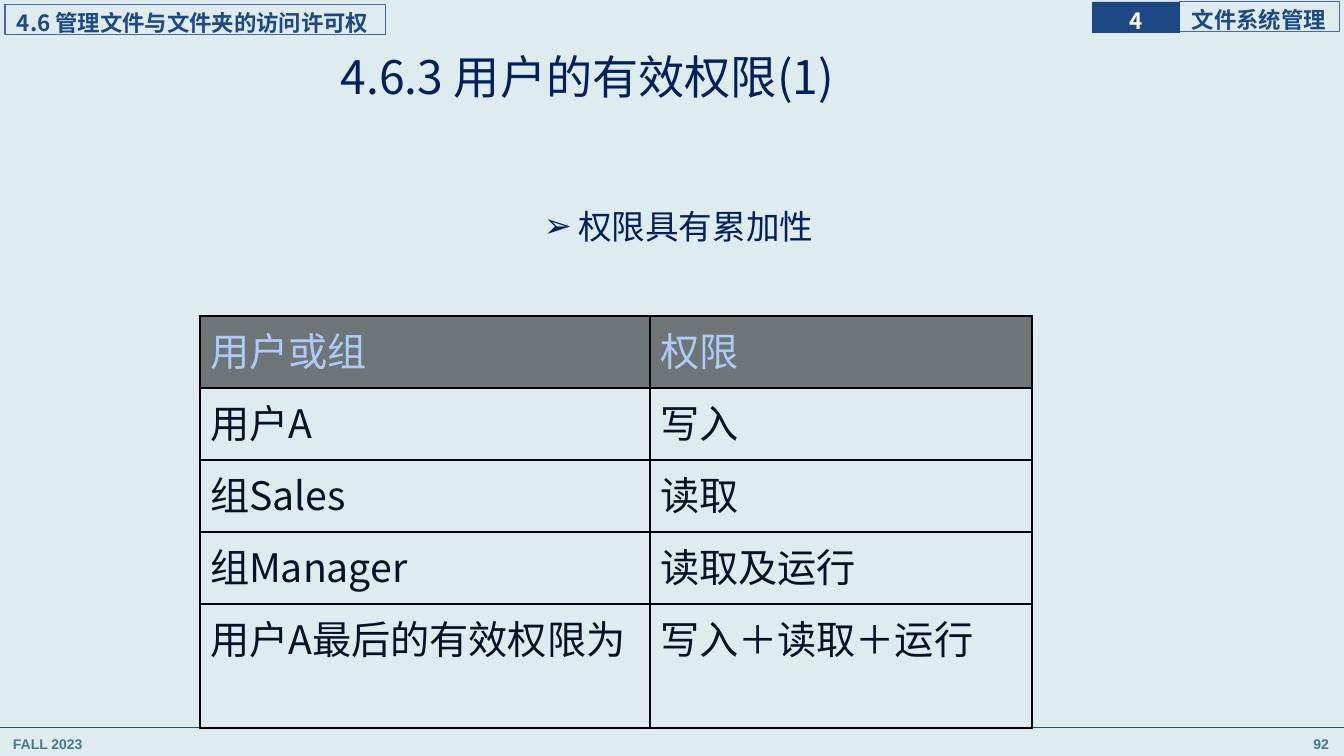
"""Build the slide on effective user permissions."""
from pptx import Presentation
from pptx.dml.color import RGBColor
from pptx.enum.shapes import MSO_CONNECTOR, MSO_SHAPE
from pptx.enum.text import MSO_ANCHOR, MSO_AUTO_SIZE, PP_ALIGN
from pptx.oxml.ns import qn
from pptx.oxml.xmlchemy import OxmlElement
from pptx.util import Pt

LEFT, CENTER, RIGHT = PP_ALIGN.LEFT, PP_ALIGN.CENTER, PP_ALIGN.RIGHT
TOP, MIDDLE = MSO_ANCHOR.TOP, MSO_ANCHOR.MIDDLE
NO_AUTOFIT = MSO_AUTO_SIZE.NONE
RECTANGLE, STRAIGHT = MSO_SHAPE.RECTANGLE, MSO_CONNECTOR.STRAIGHT

BACKGROUND = RGBColor(0xDE, 0xEC, 0xEF)
NAVY = RGBColor(0x00, 0x20, 0x60)
BLUE = RGBColor(0x1C, 0x48, 0x85)
OUTLINE = RGBColor(0x4A, 0x66, 0xAC)
RULE = RGBColor(0x23, 0x4F, 0x77)
TEAL = RGBColor(0x41, 0x7B, 0x85)
HEADER_TEXT = RGBColor(0xAC, 0xCB, 0xF9)
CELL_TEXT = RGBColor(0x03, 0x12, 0x27)
BLACK = RGBColor(0, 0, 0)
WHITE = RGBColor(0xFF, 0xFF, 0xFF)
CHINESE_FONT, LATIN_FONT = "Noto Sans CJK SC", "Arial"

PX = 914400 / 100.8
SLIDE_SIZE = (1344, 756)
TITLE = ("4.6.3 用户的有效权限(1)", (8, 47, 1159, 65))
BULLET = ("权限具有累加性", (206, 206, 930, 465))
BULLET_INDENT, BULLET_HANG = 364, 34
FOOTERS = [("FALL 2023", (3, 727, 280, 31), LEFT), ("92", (1059, 727, 280, 31), RIGHT)]
LABELS = [
    ("文件系统管理", (1180, 2, 160, 30), None, BLUE, LEFT, 12),
    ("4", (1092, 2, 88, 31), BLUE, WHITE, CENTER, 0),
    ("4.6 管理文件与文件夹的访问许可权", (5, 5, 381, 30), None, BLUE, LEFT, 12),
]
FOOTER_RULE_Y = 727
PERMISSIONS = [
    ("用户或组", "权限"),
    ("用户A", "写入"),
    ("组Sales", "读取"),
    ("组Manager", "读取及运行"),
    ("用户A最后的有效权限为", "写入＋读取＋运行"),
]
TABLE_LEFT, TABLE_TOP = 200, 316
COLUMN_WIDTHS = (450, 382)
ROW_HEIGHTS = (72, 72, 72, 72, 124)
OUTER_BORDER, INNER_BORDER = 2.25, 1


def emu(length):
    return round(length * PX)


def box(bounds):
    return [emu(length) for length in bounds]


def add_element(parent, tag, **attributes):
    element = OxmlElement(tag)
    for name, value in attributes.items():
        element.set(name, str(value))
    parent.append(element)
    return element


def write(frame, text, size, color, align=LEFT, name=CHINESE_FONT, bold=False, spacing=1.0):
    paragraph = frame.paragraphs[0]
    paragraph.text = text
    paragraph.alignment = align
    paragraph.line_spacing = spacing
    font = paragraph.font
    font.name, font.size, font.bold = name, Pt(size), bold
    font.color.rgb = color
    defaults = paragraph._p.pPr.find(qn("a:defRPr"))
    add_element(defaults, "a:ea", typeface=name)
    return paragraph


def set_frame(frame, anchor, margins):
    frame.word_wrap = True
    frame.auto_size = NO_AUTOFIT
    frame.vertical_anchor = anchor
    frame.margin_left, frame.margin_top, frame.margin_right, frame.margin_bottom = box(margins)


def fill_placeholder(shape, content, size, anchor, align):
    text, bounds = content
    shape.left, shape.top, shape.width, shape.height = box(bounds)
    set_frame(shape.text_frame, anchor, (8, 4, 8, 4))
    return write(shape.text_frame, text, size, NAVY, align, spacing=0.9)


def add_bullet(paragraph):
    properties = paragraph._p.pPr
    properties.set("marL", str(emu(BULLET_INDENT)))
    properties.set("indent", str(-emu(BULLET_HANG)))
    character = OxmlElement("a:buChar")
    character.set("char", "➢")
    properties.find(qn("a:defRPr")).addprevious(character)


def add_label(slide, text, bounds, fill, color, align, inset):
    label = slide.shapes.add_shape(RECTANGLE, *box(bounds))
    label.shadow.inherit = False
    if fill is None:
        label.fill.background()
        label.line.color.rgb = OUTLINE
        label.line.width = Pt(0.75)
    else:
        label.fill.solid()
        label.fill.fore_color.rgb = fill
        label.line.fill.background()
    set_frame(label.text_frame, MIDDLE, (inset, 0, 0, 0))
    write(label.text_frame, text, 16, color, align, bold=True, spacing=1.2)


def add_footer(slide, text, bounds, align):
    footer = slide.shapes.add_textbox(*box(bounds))
    set_frame(footer.text_frame, TOP, (10, 5, 10, 5))
    write(footer.text_frame, text, 10, TEAL, align, LATIN_FONT, True, 1.2)


def add_footer_rule(slide):
    rule = slide.shapes.add_connector(
        STRAIGHT, 0, emu(FOOTER_RULE_Y), emu(SLIDE_SIZE[0]), emu(FOOTER_RULE_Y))
    rule.line.color.rgb = RULE
    rule.line.width = Pt(0.5)
    add_element(rule._element.spPr, "a:effectLst")


def set_borders(cell, outer_sides):
    properties = cell._tc.get_or_add_tcPr()
    for position, (side, is_outer) in enumerate(outer_sides.items()):
        width = Pt(OUTER_BORDER if is_outer else INNER_BORDER)
        border = OxmlElement(f"a:{side}")
        border.set("w", str(width))
        solid = add_element(border, "a:solidFill")
        add_element(solid, "a:srgbClr", val=BLACK)
        properties.insert(position, border)


def add_permission_table(slide):
    row_count, column_count = len(PERMISSIONS), len(COLUMN_WIDTHS)
    bounds = (TABLE_LEFT, TABLE_TOP, sum(COLUMN_WIDTHS), sum(ROW_HEIGHTS))
    table = slide.shapes.add_table(row_count, column_count, *box(bounds)).table
    table.first_row = table.horz_banding = False
    for column, width in zip(table.columns, COLUMN_WIDTHS):
        column.width = emu(width)
    for row_index, values in enumerate(PERMISSIONS):
        table.rows[row_index].height = emu(ROW_HEIGHTS[row_index])
        is_header = row_index == 0
        for column_index, value in enumerate(values):
            cell = table.cell(row_index, column_index)
            write(cell.text_frame, value, 28, HEADER_TEXT if is_header else CELL_TEXT)
            if is_header:
                cell.fill.solid()
                cell.fill.fore_color.rgb = BLACK
                color = cell._tc.tcPr.find(".//" + qn("a:srgbClr"))
                add_element(color, "a:alpha", val=50000)
            else:
                cell.fill.background()
            set_borders(cell, {
                "lnL": column_index == 0,
                "lnR": column_index == column_count - 1,
                "lnT": is_header,
                "lnB": row_index == row_count - 1,
            })


def main():
    presentation = Presentation()
    presentation.slide_width, presentation.slide_height = box(SLIDE_SIZE)
    slide = presentation.slides.add_slide(presentation.slide_layouts[1])
    slide.background.fill.solid()
    slide.background.fill.fore_color.rgb = BACKGROUND
    for footer in FOOTERS:
        add_footer(slide, *footer)
    for label in LABELS:
        add_label(slide, *label)
    add_footer_rule(slide)
    fill_placeholder(slide.shapes.title, TITLE, 33, MIDDLE, CENTER)
    add_bullet(fill_placeholder(slide.placeholders[1], BULLET, 24, TOP, LEFT))
    add_permission_table(slide)
    presentation.save("out.pptx")


if __name__ == "__main__":
    main()
